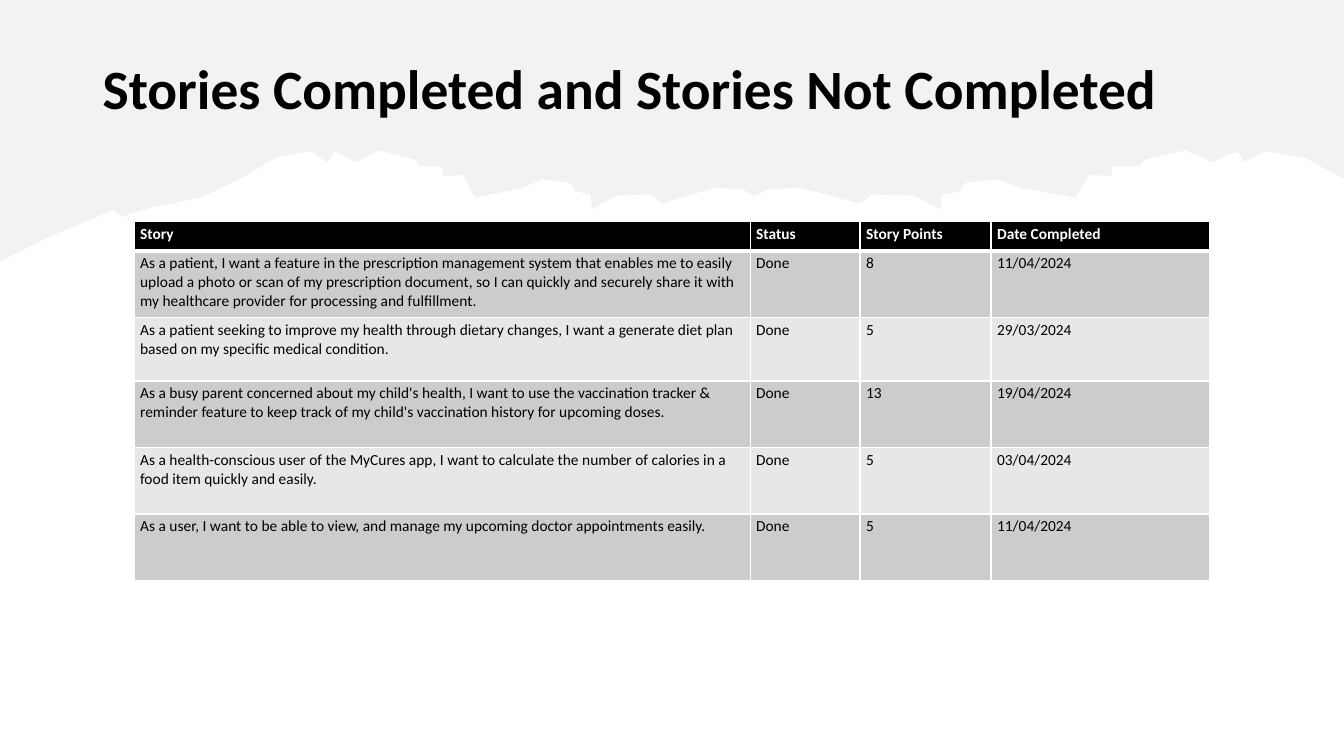
from lxml.etree import SubElement
from pptx import Presentation
from pptx.dml.color import RGBColor
from pptx.enum.text import MSO_ANCHOR
from pptx.oxml.ns import qn
from pptx.util import Inches, Pt

WIDTH, HEIGHT = 13.33, 7.5
FONT = "Calibri"
HEADER_FILL, BANDS = "000000", ("CCCCCC", "E7E7E7")
COLUMNS = (6.11, 1.09, 1.3, 2.17)
ROWS = (0.29, 0.66, 0.63, 0.66, 0.66, 0.66)
STORIES = [
    ("Story", "Status", "Story Points", "Date Completed"),
    ("As a patient, I want a feature in the prescription management system that enables me "
     "to easily upload a photo or scan of my prescription document, so I can quickly and "
     "securely share it with my healthcare provider for processing and fulfillment.",
     "Done", "8", "11/04/2024"),
    ("As a patient seeking to improve my health through dietary changes, I want a generate "
     "diet plan based on my specific medical condition.", "Done", "5", "29/03/2024"),
    ("As a busy parent concerned about my child's health, I want to use the vaccination "
     "tracker & reminder feature to keep track of my child's vaccination history for "
     "upcoming doses.", "Done", "13", "19/04/2024"),
    ("As a health-conscious user of the MyCures app, I want to calculate the number of "
     "calories in a food item quickly and easily.", "Done", "5", "03/04/2024"),
    ("As a user, I want to be able to view, and manage my upcoming doctor appointments "
     "easily.", "Done", "5", "11/04/2024"),
]
# Torn edge in hundredths of an inch: the slope at the left, then the ridge up to its axis
SLOPE = [(0, 259), (46, 236), (82, 221), (113, 208), (120, 215), (150, 206), (199, 196)]
RIDGE = [
    (239, 177), (261, 164), (274, 156), (308, 150), (325, 161), (331, 151), (337, 152),
    (352, 161), (376, 149), (411, 158), (416, 165), (438, 165), (440, 175), (459, 173),
    (471, 196), (516, 187), (538, 178), (565, 181), (571, 190), (586, 193), (587, 208),
    (611, 194), (646, 193), (657, 202), (686, 193), (711, 186), (736, 188), (747, 194),
]
AXIS, STRETCH = 748, 1.15


def color(hex_value):
    return RGBColor.from_string(hex_value)


def format_text(p, **font):
    for name, value in dict(name=FONT, **font).items():
        if name == "color":
            p.font.color.rgb = color(value)
        else:
            setattr(p.font, name, value)


def torn_edge():
    """The ridge repeats to the right of its axis, mirrored and slightly stretched."""
    mirrored = [(round(AXIS + STRETCH * (AXIS - x)), y) for x, y in reversed(RIDGE)]
    return SLOPE + RIDGE + mirrored


def add_torn_header(s, width):
    """Fill from the top of the slide down to the torn edge."""
    right = round(width * 100)
    start, *edge = [(min(x, right), y) for x, y in torn_edge()]
    builder = s.shapes.build_freeform(*start, scale=Inches(0.01))
    builder.add_line_segments(edge + [(right, 0), (0, 0)], close=True)
    sp = builder.convert_to_shape()
    sp.shadow.inherit = False
    sp.line.fill.background()
    sp.fill.solid()
    sp.fill.fore_color.rgb = color("E7E6E6")
    rgb = sp.element.spPr.find(".//" + qn("a:srgbClr"))
    SubElement(rgb, qn("a:alpha"), val="50000")


def add_title(s, box, text):
    tf = s.shapes.add_textbox(*map(Inches, box)).text_frame
    tf.word_wrap = True
    tf.vertical_anchor = MSO_ANCHOR.MIDDLE
    p = tf.paragraphs[0]
    p.text, p.line_spacing = text, 0.9
    format_text(p, size=Pt(39.6), bold=True, color="000000")


def add_borders(cell, top, bottom):
    """White borders; top and bottom widths are in points."""
    tcPr = cell._tc.get_or_add_tcPr()
    for side, width in dict(L=1, R=1, T=top, B=bottom).items():
        ln = SubElement(tcPr, qn(f"a:ln{side}"), w=str(Pt(width)))
        fill = SubElement(ln, qn("a:solidFill"))
        SubElement(fill, qn("a:srgbClr"), val="FFFFFF")


def add_story_table(s, left, top, columns, heights, rows):
    table = s.shapes.add_table(len(rows), len(columns), Inches(left), Inches(top),
                               Inches(sum(columns)), Inches(sum(heights))).table
    for column, width in zip(table.columns, columns):
        column.width = Inches(width)
    for i, (height, row) in enumerate(zip(heights, rows)):
        table.rows[i].height = Inches(height)
        header = i == 0
        for j, text in enumerate(row):
            cell = table.cell(i, j)
            add_borders(cell, top=3 if i == 1 else 1, bottom=3 if header else 1)
            cell.fill.solid()
            cell.fill.fore_color.rgb = color(HEADER_FILL if header else BANDS[(i - 1) % 2])
            cell.margin_left = cell.margin_right = Inches(0.06)
            cell.margin_top = cell.margin_bottom = Inches(0.03)
            p = cell.text_frame.paragraphs[0]
            p.text = text
            format_text(p, size=Pt(11), bold=header, color="FFFFFF" if header else "000000")


def main():
    prs = Presentation()
    prs.slide_width, prs.slide_height = Inches(WIDTH), Inches(HEIGHT)
    s = prs.slides.add_slide(prs.slide_layouts[6])
    add_torn_header(s, WIDTH)
    add_title(s, (0.92, 0.4, 11.5, 1.02), "Stories Completed and Stories Not Completed")
    add_story_table(s, (WIDTH - sum(COLUMNS)) / 2, 2.2, COLUMNS, ROWS, STORIES)
    prs.save("out.pptx")


if __name__ == "__main__":
    main()
